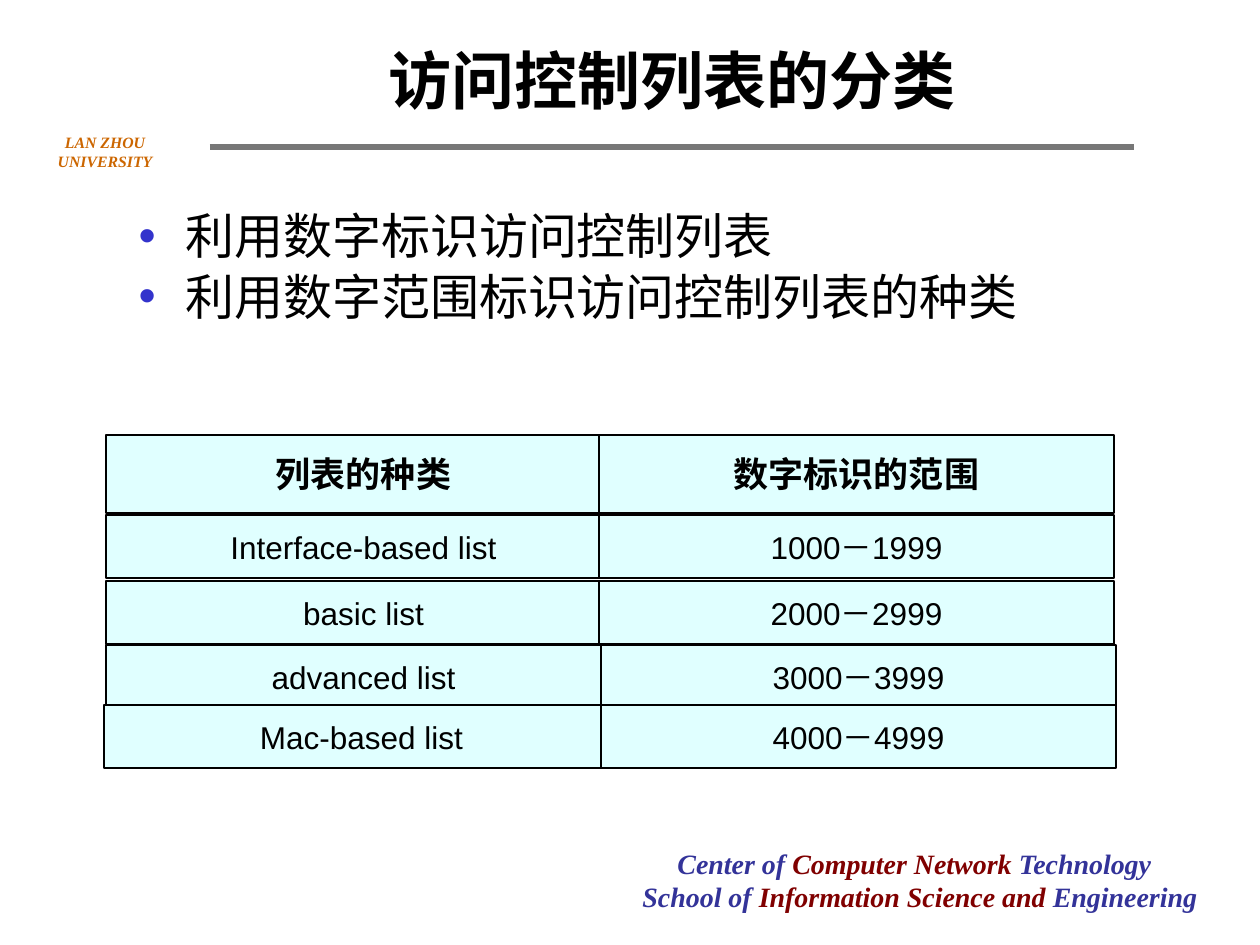
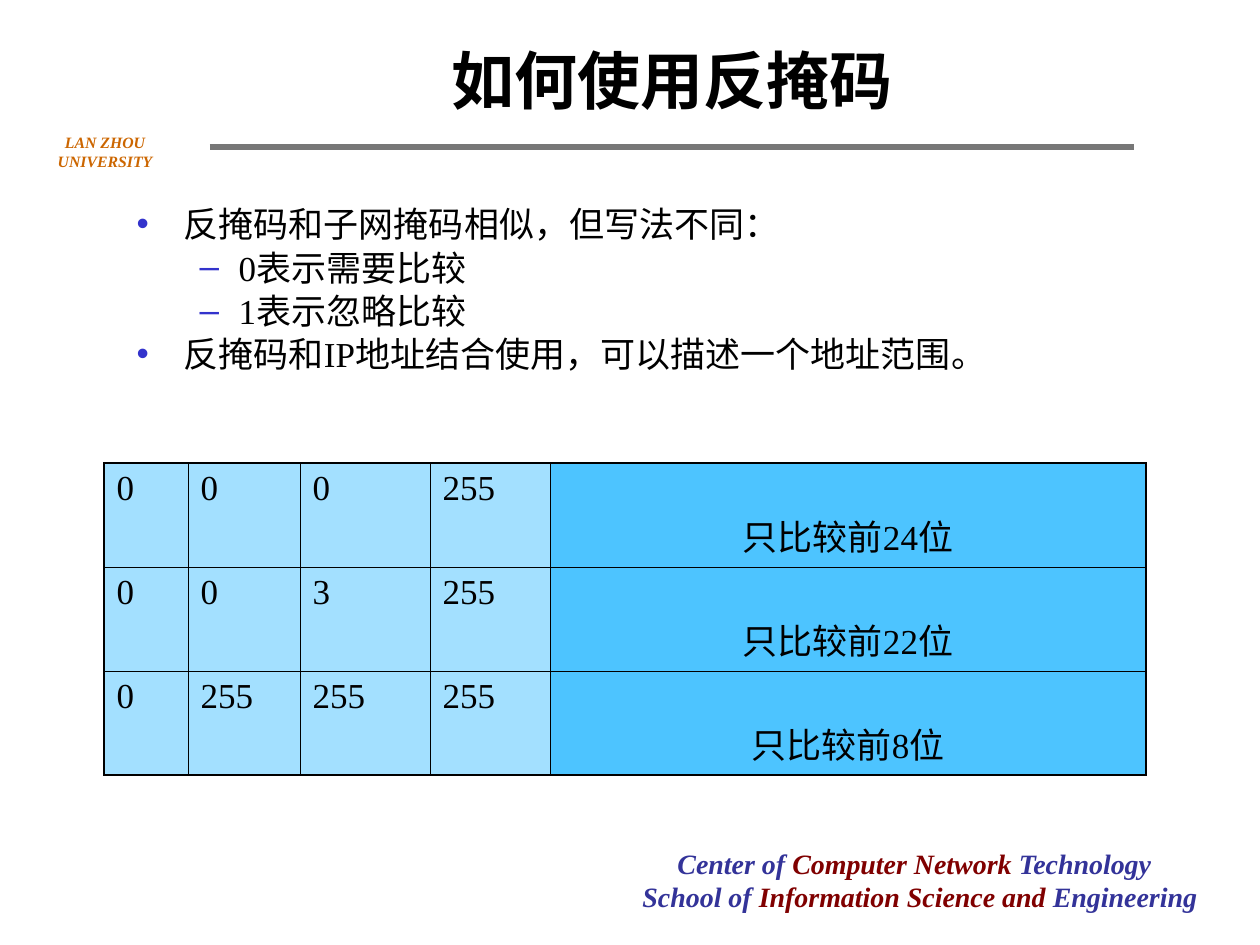
import pptx
import pptx.util
import pptx.dml.color
import pptx.enum.shapes
import pptx.enum.text
import pptx.oxml
import pptx.oxml.ns
import lxml.etree

ALIGN = pptx.enum.text.PP_ALIGN
ANCHOR = pptx.enum.text.MSO_ANCHOR
COLORS = {
    "text": "000000", "rule": "777777", "university": "CC6600",
    "footer": "333399", "footer_accent": "800000", "bullet": "3333CC",
    "list_cell": "E0FFFF", "mask_cell": "A3E0FF", "note_cell": "4DC4FF",
}
SERIF, SANS = "Times New Roman", "Arial"


def px(pixels):
    return pptx.util.Emu(pixels * 914400 // 126)


def add_xml(parent, tag, **attributes):
    name = pptx.oxml.ns.qn(tag)
    return lxml.etree.SubElement(parent, name, attributes)


class Deck:
    def __init__(self):
        self.presentation = pptx.Presentation()
        self.presentation.slide_width = px(1260)
        self.presentation.slide_height = px(945)
        self.slide = None

    def rgb(self, name):
        return pptx.dml.color.RGBColor.from_string(COLORS[name])

    def style(self, paragraph, size, font=SERIF, color="text",
              bold=False, italic=False, align=ALIGN.LEFT):
        paragraph.alignment = align
        for run in paragraph.runs:
            run.font.size = pptx.util.Pt(size)
            run.font.name = font
            run.font.bold = bold
            run.font.italic = italic
            run.font.color.rgb = self.rgb(color)

    def place(self, shape, left, top, width, height):
        shape.left, shape.top = px(left), px(top)
        shape.width, shape.height = px(width), px(height)

    def add_slide(self, title):
        layout = self.presentation.slide_layouts[1]
        self.slide = self.presentation.slides.add_slide(layout)
        self.rule()
        self.footer()
        self.university()
        shape = self.slide.shapes.title
        self.place(shape, 210, 32, 924, 94)
        frame = shape.text_frame
        frame.text = title
        frame.auto_size = pptx.enum.text.MSO_AUTO_SIZE.NONE
        frame.vertical_anchor = ANCHOR.MIDDLE
        self.style(frame.paragraphs[0], 36, SANS, bold=True, align=ALIGN.CENTER)

    def rule(self):
        line = self.slide.shapes.add_connector(
            pptx.enum.shapes.MSO_CONNECTOR.STRAIGHT,
            px(210), px(147), px(1134), px(147))
        line.line.color.rgb = self.rgb("rule")
        line.line.width = pptx.util.Pt(3)
        add_xml(line._element.spPr, "a:effectLst")

    def text_box(self, left, top, width, height, wrap):
        box = self.slide.shapes.add_textbox(
            px(left), px(top), px(width), px(height))
        box.text_frame.word_wrap = wrap
        return box.text_frame

    def footer(self):
        frame = self.text_box(630, 840, 588, 81, True)
        lines = [("Center of ", "Computer Network ", "Technology"),
                 ("School of ", "Information Science and ", "Engineering")]
        first, second = frame.paragraphs[0], frame.add_paragraph()
        for paragraph, words in zip((first, second), lines):
            for word in words:
                paragraph.add_run().text = word
            self.style(paragraph, 16, color="footer", bold=True, italic=True)
            paragraph.runs[1].font.color.rgb = self.rgb("footer_accent")
        first._p.get_or_add_pPr().set("indent", str(px(35)))

    def university(self):
        frame = self.text_box(21, 136, 168, 32, False)
        frame.text = "LAN ZHOU UNIVERSITY"
        frame.vertical_anchor = ANCHOR.MIDDLE
        self.style(frame.paragraphs[0], 9, color="university", bold=True,
                   italic=True, align=ALIGN.CENTER)

    def bullets(self, items, left, top, height, size, space):
        """Fill the body with (level, text) items."""
        shape = self.slide.placeholders[1]
        self.place(shape, left, top, 1018, height)
        frame = shape.text_frame
        frame.text = "\n".join(text for level, text in items)
        frame.auto_size = pptx.enum.text.MSO_AUTO_SIZE.NONE
        for paragraph, (level, text) in zip(frame.paragraphs, items):
            paragraph.level = level
            paragraph.line_spacing = 0.82
            paragraph.space_before = pptx.util.Pt(space)
            self.style(paragraph, size)
            margin, hanging, mark = [(47, 47, "•"), (102, 39, "–")][level]
            properties = paragraph._p.get_or_add_pPr()
            properties.set("marL", str(px(margin)))
            properties.set("indent", str(-px(hanging)))
            color = add_xml(properties, "a:buClr")
            add_xml(color, "a:srgbClr", val=COLORS["bullet"])
            add_xml(properties, "a:buChar", char=mark)

    def box(self, text, left, top, width, height, **style):
        shape = self.slide.shapes.add_shape(
            pptx.enum.shapes.MSO_SHAPE.RECTANGLE,
            px(left), px(top), px(width), px(height))
        shape.shadow.inherit = False
        shape.fill.solid()
        shape.fill.fore_color.rgb = self.rgb("list_cell")
        shape.line.color.rgb = self.rgb("text")
        shape.line.width = pptx.util.Pt(1.45)
        frame = shape.text_frame
        frame.margin_left = frame.margin_right = 0
        frame.margin_top = frame.margin_bottom = 0
        frame.word_wrap = True
        frame.vertical_anchor = ANCHOR.MIDDLE
        frame.text = text
        self.style(frame.paragraphs[0], align=ALIGN.CENTER, **style)

    def borders(self, cell, outer):
        """Draw the four sides, thicker where they are on the outside."""
        for side in ("L", "R", "T", "B"):
            width = pptx.util.Pt(1.08 if side in outer else 0.45)
            line = add_xml(cell._tc.get_or_add_tcPr(), "a:ln" + side,
                           w=str(width))
            fill = add_xml(line, "a:solidFill")
            add_xml(fill, "a:srgbClr", val=COLORS["text"])

    def table(self, rows, left, top, widths, row_height):
        last_row, last_column = len(rows) - 1, len(widths) - 1
        table = self.slide.shapes.add_table(
            len(rows), len(widths), px(left), px(top),
            px(sum(widths)), px(row_height * len(rows))).table
        table.first_row = table.horz_banding = False
        for column, width in zip(table.columns, widths):
            column.width = px(width)
        for r, values in enumerate(rows):
            table.rows[r].height = px(row_height)
            for c, value in enumerate(values):
                cell = table.cell(r, c)
                is_note = c == last_column
                outer = {side for side, on_edge in (
                    ("L", c == 0), ("R", is_note),
                    ("T", r == 0), ("B", r == last_row)) if on_edge}
                self.borders(cell, outer)
                cell.fill.solid()
                cell.fill.fore_color.rgb = self.rgb(
                    "note_cell" if is_note else "mask_cell")
                cell.vertical_anchor = ANCHOR.BOTTOM if is_note else ANCHOR.TOP
                cell.text = value
                self.style(cell.text_frame.paragraphs[0], 20,
                           align=ALIGN.CENTER if is_note else ALIGN.LEFT)


deck = Deck()

# Kinds of access control lists
deck.add_slide("访问控制列表的分类")
deck.bullets([(0, "利用数字标识访问控制列表"),
              (0, "利用数字范围标识访问控制列表的种类")],
             126, 210, 142, size=28, space=7)
heading = dict(size=20, bold=True)
entry = dict(size=18, font=SANS)
list_rows = [
    # kind, range, left of kind, left of range, top, height, style
    ("列表的种类", "数字标识的范围", 106, 599, 435, 78, heading),
    ("Interface-based list", "1000－1999", 106, 599, 515, 63, entry),
    ("basic list", "2000－2999", 106, 599, 581, 63, entry),
    ("advanced list", "3000－3999", 106, 601, 645, 63, entry),
    ("Mac-based list", "4000－4999", 104, 601, 705, 63, entry),
]
for kind, number_range, kind_left, range_left, top, height, style in list_rows:
    deck.box(kind, kind_left, top, 515, height, **style)
    deck.box(number_range, range_left, top, 515, height, **style)

# Wildcard masks
deck.add_slide("如何使用反掩码")
deck.bullets([(0, "反掩码和子网掩码相似，但写法不同："),
              (1, "0表示需要比较"),
              (1, "1表示忽略比较"),
              (0, "反掩码和IP地址结合使用，可以描述一个地址范围。")],
             124, 204, 207, size=20, space=5)
deck.table([("0", "0", "0", "255", "只比较前24位"),
            ("0", "0", "3", "255", "只比较前22位"),
            ("0", "255", "255", "255", "只比较前8位")],
           104, 463, [84, 112, 130, 120, 596], 104)

deck.presentation.save("out.pptx")
